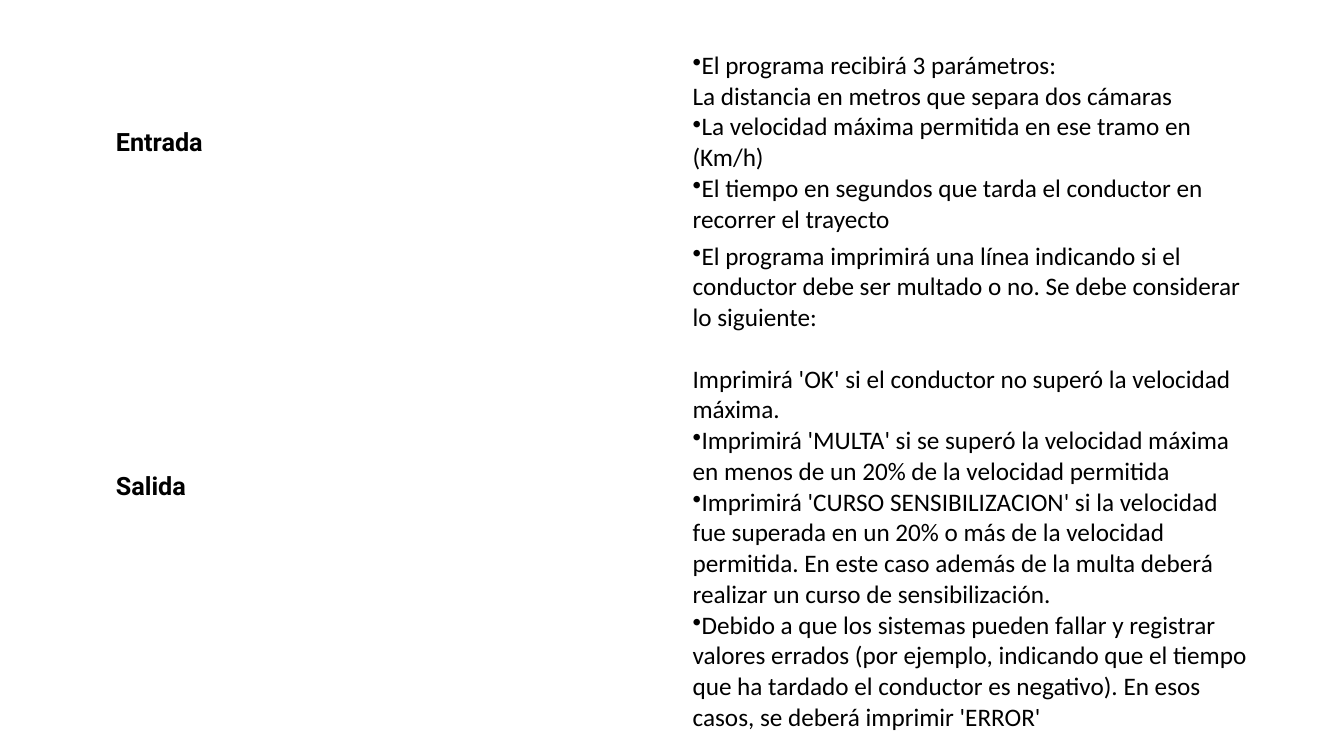
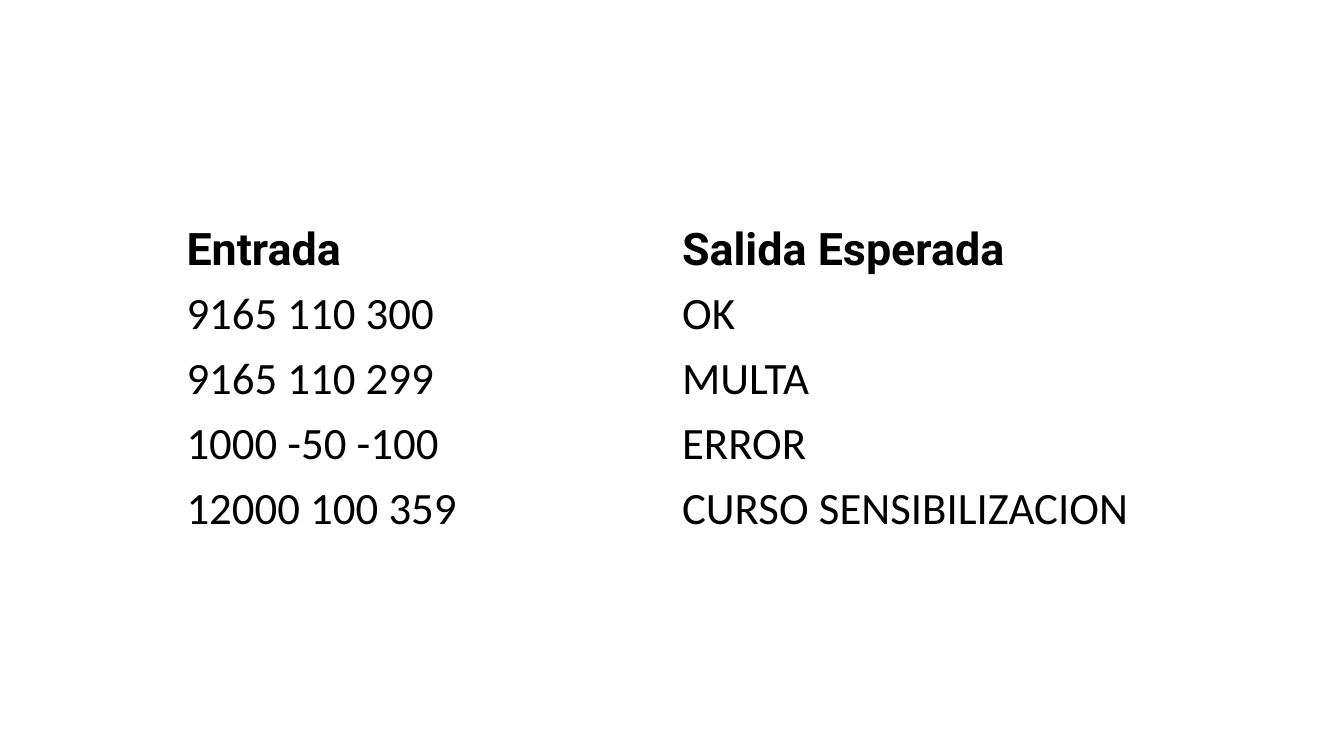
from dataclasses import dataclass
from lxml.etree import Element
from pptx import Presentation
from pptx.dml.color import RGBColor
from pptx.enum.text import MSO_ANCHOR
from pptx.oxml.ns import qn
from pptx.util import Inches, Pt

# Content: a list in a cell is a bulleted list
REQUIREMENTS = [
    ("Entrada", [
        "El programa recibirá 3 parámetros:\nLa distancia en metros que separa dos cámaras",
        "La velocidad máxima permitida en ese tramo en (Km/h)",
        "El tiempo en segundos que tarda el conductor en recorrer el trayecto",
    ]),
    ("Salida", [
        "El programa imprimirá una línea indicando si el conductor debe ser multado o no. "
        "Se debe considerar lo siguiente:\n\n"
        "Imprimirá 'OK' si el conductor no superó la velocidad máxima.",
        "Imprimirá 'MULTA' si se superó la velocidad máxima en menos de un 20% "
        "de la velocidad permitida",
        "Imprimirá 'CURSO SENSIBILIZACION' si la velocidad fue superada en un 20% o más "
        "de la velocidad permitida. En este caso además de la multa deberá realizar "
        "un curso de sensibilización.",
        "Debido a que los sistemas pueden fallar y registrar valores errados (por ejemplo, "
        "indicando que el tiempo que ha tardado el conductor es negativo). En esos casos, "
        "se deberá imprimir 'ERROR'",
    ]),
]
EXAMPLES = [
    ("Entrada", "Salida Esperada"),
    ("9165 110 300", "OK"),
    ("9165 110 299", "MULTA"),
    ("1000 -50 -100", "ERROR"),
    ("12000 100 359", "CURSO SENSIBILIZACION"),
]


@dataclass(frozen=True)
class Theme:
    ink: RGBColor = RGBColor(0, 0, 0)
    paper: RGBColor = RGBColor(255, 255, 255)
    heading_font: str = "Roboto"
    body_font: str = "Calibri"
    requirement_size: int = 18
    example_size: int = 32


THEME = Theme()


def add_bullet(para):
    bullet = Element(qn("a:buChar"), char="•")
    para._p.get_or_add_pPr().insert(0, bullet)


def fill_cell(cell, content, size, heading, margins):
    cell.fill.background()
    cell.vertical_anchor = MSO_ANCHOR.MIDDLE
    side, edge = margins
    cell.margin_left = cell.margin_right = Inches(side)
    cell.margin_top = cell.margin_bottom = Inches(edge)
    bulleted = isinstance(content, list)
    frame = cell.text_frame
    for index, line in enumerate(content if bulleted else [content]):
        para = frame.add_paragraph() if index else frame.paragraphs[0]
        para.text = line
        para.font.size = Pt(size)
        para.font.name = THEME.heading_font if heading else THEME.body_font
        para.font.bold = heading
        para.font.color.rgb = THEME.ink
        if bulleted:
            add_bullet(para)


def add_table_page(deck, rows, place, heights, size, is_heading, margins):
    page = deck.slides.add_slide(deck.slide_layouts[6])
    page.background.fill.solid()
    page.background.fill.fore_color.rgb = THEME.paper
    left, top, width = place
    table = page.shapes.add_table(
        len(rows), len(rows[0]), Inches(left), Inches(top),
        Inches(width), Inches(sum(heights))).table
    table.first_row = table.horz_banding = False
    for row_index, row in enumerate(rows):
        table.rows[row_index].height = Inches(heights[row_index])
        for column_index, content in enumerate(row):
            fill_cell(table.cell(row_index, column_index), content, size,
                      is_heading(row_index, column_index), margins)


deck = Presentation()
deck.slide_width, deck.slide_height = Inches(13.33), Inches(7.5)

# Requirements: headings down the first column
add_table_page(deck, REQUIREMENTS, (1.08, 0.47, 11.44), [1.48, 3.82],
               THEME.requirement_size, lambda row, column: column == 0, (0.07, 0.03))

# Examples: headings along the first row
add_table_page(deck, EXAMPLES, (1.75, 2.17, 9.83), [0.63] * len(EXAMPLES),
               THEME.example_size, lambda row, column: row == 0, (0.1, 0.05))

deck.save("out.pptx")
